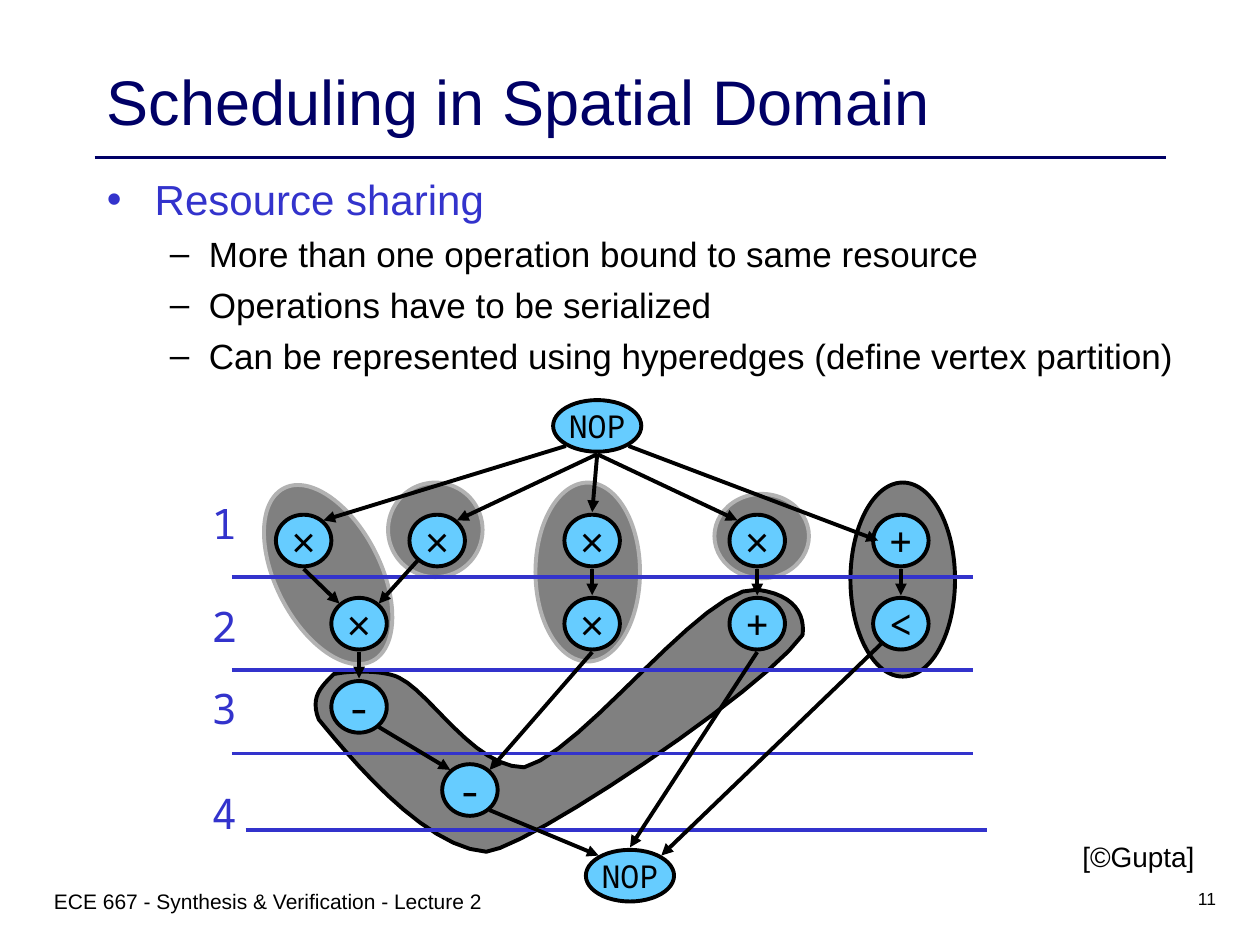
from dataclasses import dataclass

from lxml.etree import SubElement
from pptx import Presentation
from pptx.dml.color import RGBColor as RGB
from pptx.enum.shapes import MSO_CONNECTOR as Connector, MSO_SHAPE as Preset
from pptx.enum.text import MSO_ANCHOR as Anchor, MSO_AUTO_SIZE as AutoSize, PP_ALIGN as Align
from pptx.oxml.ns import qn
from pptx.util import Inches, Pt


@dataclass(frozen=True)
class Theme:
    navy: RGB = RGB(0x00, 0x00, 0x66)
    blue: RGB = RGB(0x33, 0x33, 0xCC)
    sky: RGB = RGB(0x66, 0xCC, 0xFF)
    gray: RGB = RGB(0x80, 0x80, 0x80)
    silver: RGB = RGB(0xB2, 0xB2, 0xB2)
    black: RGB = RGB(0x00, 0x00, 0x00)
    sans: str = "Arial"
    mono: str = "Noto Sans Mono"
    title: float = 36
    heading: float = 24
    item: float = 20
    nop: float = 18
    credit: float = 16
    footer: float = 12
    number: float = 10
    stroke: float = 2.25


THEME = Theme()

# Operation nodes: name -> (centre x, centre y, label)
ROW_1, ROW_2, ROW_3, ROW_4 = 4.29, 4.95, 5.61, 6.27
NODES = {
    "source": (4.74, 3.38, "NOP"),
    "mul1": (2.41, ROW_1, "×"),
    "mul2": (3.47, ROW_1, "×"),
    "mul3": (4.7, ROW_1, "×"),
    "mul4": (6.01, ROW_1, "×"),
    "add1": (7.15, ROW_1, "+"),
    "mul5": (2.85, ROW_2, "×"),
    "mul6": (4.7, ROW_2, "×"),
    "add2": (6.01, ROW_2, "+"),
    "less": (7.15, ROW_2, "<"),
    "sub1": (2.85, ROW_3, "-"),
    "sub2": (3.73, ROW_4, "-"),
    "sink": (5.0, 6.95, "NOP"),
}

# Directions from a node's centre to the points where edges attach
DIAGONAL = 0.71
SITES = {
    "top": (0, -1), "bottom": (0, 1), "left": (-0.82, 0),
    "top left": (-DIAGONAL, -DIAGONAL), "top right": (DIAGONAL, -DIAGONAL),
    "bottom left": (-DIAGONAL, DIAGONAL), "bottom right": (DIAGONAL, DIAGONAL),
}
EDGES = [
    ("source", "bottom left", "mul1", "top right"),
    ("source", "bottom", "mul2", "top right"),
    ("source", "bottom", "mul3", "top"),
    ("source", "bottom", "mul4", "top left"),
    ("source", "bottom right", "add1", "left"),
    ("add1", "bottom", "less", "top"),
    ("mul4", "bottom", "add2", "top"),
    ("mul3", "bottom", "mul6", "top"),
    ("mul2", "bottom left", "mul5", "top right"),
    ("mul1", "bottom", "mul5", "top left"),
    ("mul5", "bottom", "sub1", "top"),
    ("mul6", "bottom", "sub2", "top right"),
    ("sub1", "bottom right", "sub2", "top left"),
    ("add2", "bottom", "sink", "top"),
    ("less", "bottom left", "sink", "top right"),
    ("sub2", "bottom right", "sink", "top left"),
]

# Hyperedges: left, top, width, height, rotation, outline
HYPEREDGES = [
    (5.67, 3.92, 0.75, 0.67, 0, THEME.silver),
    (3.08, 3.83, 0.75, 0.75, 0, THEME.silver),
    (2.19, 3.79, 0.83, 1.54, 332.9, THEME.silver),
    (4.25, 3.83, 0.83, 1.42, 0, THEME.silver),
    (6.75, 3.83, 0.83, 1.54, 0, THEME.black),
]
# Bent hyperedge: start point, then control, control, end of each curve
BEND_START = (6.01, 4.68)
BEND_CURVES = [
    ((6.32, 4.72), (6.39, 4.89), (6.37, 5.04)),
    ((6.06, 5.48), (4.17, 6.74), (3.86, 6.76)),
    ((3.35, 6.73), (2.73, 5.95), (2.53, 5.71)),
    ((2.46, 5.53), (2.55, 5.45), (2.65, 5.35)),
    ((2.79, 5.32), (3.06, 5.32), (3.17, 5.38)),
    ((3.42, 5.5), (3.76, 6.09), (4.16, 6.09)),
    ((4.63, 5.97), (5.6, 4.63), (6.01, 4.68)),
]

# Time steps: label top, line left, line y
STEPS = [(3.95, 1.84, 4.58), (4.77, 1.84, 5.32), (5.42, 1.84, 5.98), (6.25, 1.95, 6.59)]
STEP_WIDTH = 5.88

ITEMS = [
    "More than one operation bound to same resource",
    "Operations have to be serialized",
    "Can be represented using hyperedges (define vertex partition)",
]


def set_values(target, values):
    for name, value in values.items():
        setattr(target, name, value)


def write(para, text, size, color, font=THEME.sans):
    span = para.add_run()
    span.text = text
    set_values(span.font, {"size": Pt(size), "name": font})
    span.font.color.rgb = color


def add_text(page, area, text, size, color, font=THEME.sans, align=Align.LEFT, **frame):
    box = page.shapes.add_textbox(*map(Inches, area))
    set_values(box.text_frame, {"word_wrap": True, "auto_size": AutoSize.NONE, **frame})
    para = box.text_frame.paragraphs[0]
    para.alignment = align
    write(para, text, size, color, font)
    return box


def add_bullet(para, mark, color, left, hanging):
    props = para._p.get_or_add_pPr()
    props.set("marL", str(Inches(left)))
    props.set("indent", str(-Inches(hanging)))
    SubElement(SubElement(props, qn("a:buClr")), qn("a:srgbClr")).set("val", str(color))
    SubElement(props, qn("a:buFont")).set("typeface", THEME.sans)
    SubElement(props, qn("a:buChar")).set("char", mark)


def style(shape, fill, outline):
    shape.shadow.inherit = False
    shape.fill.solid()
    shape.fill.fore_color.rgb = fill
    shape.line.color.rgb = outline
    shape.line.width = Pt(THEME.stroke)


def add_ellipse(page, area, fill, outline, rotation=0):
    oval = page.shapes.add_shape(Preset.OVAL, *map(Inches, area))
    oval.rotation = rotation
    style(oval, fill, outline)
    return oval


def add_line(page, start, end, color, arrow=False):
    line = page.shapes.add_connector(Connector.STRAIGHT, *map(Inches, (*start, *end)))
    line.line.color.rgb = color
    line.line.width = Pt(THEME.stroke)
    if arrow:
        SubElement(line.line._get_or_add_ln(), qn("a:tailEnd")).set("type", "triangle")
    SubElement(line._element.spPr, qn("a:effectLst"))


def add_bend(page, steps=12):
    points, start = [], BEND_START
    for first, second, end in BEND_CURVES:
        for t in (step / steps for step in range(1, steps + 1)):
            weights = ((1 - t) ** 3, 3 * t * (1 - t) ** 2, 3 * t * t * (1 - t), t ** 3)
            curve = (start, first, second, end)
            points.append(tuple(Inches(sum(w * point[axis] for w, point in zip(weights, curve)))
                                for axis in (0, 1)))
        start = end
    builder = page.shapes.build_freeform(*map(Inches, BEND_START))
    builder.add_line_segments(points, close=True)
    style(builder.convert_to_shape(), THEME.gray, THEME.black)


def node_size(label):
    return (0.7 if label == "NOP" else 0.44), 0.41


def add_node(page, x, y, label):
    width, height = node_size(label)
    oval = add_ellipse(page, (x - width / 2, y - height / 2, width, height), THEME.sky, THEME.black)
    set_values(oval.text_frame, {"word_wrap": False, "vertical_anchor": Anchor.MIDDLE})
    para = oval.text_frame.paragraphs[0]
    para.alignment = Align.CENTER
    size = THEME.nop if label == "NOP" else THEME.heading
    write(para, label, size, THEME.black, THEME.sans if label == "×" else THEME.mono)


def site_point(name, site, gap=0.02):
    x, y, label = NODES[name]
    width, height = node_size(label)
    across, down = SITES[site]
    return x + across * width / 2, y + down * (height / 2 + gap)


def add_body(page):
    box = add_text(page, (0.75, 1.33, 8.73, 2.1), "Resource sharing", THEME.heading, THEME.blue)
    add_bullet(box.text_frame.paragraphs[0], "•", THEME.blue, 0.38, 0.38)
    for item in ITEMS:
        para = box.text_frame.add_paragraph()
        set_values(para, {"level": 1, "space_before": Pt(5)})
        add_bullet(para, "–", THEME.black, 0.81, 0.31)
        write(para, item, THEME.item, THEME.black)


def add_graph(page):
    # Shared resources behind the operations
    add_bend(page)
    for *area, rotation, outline in HYPEREDGES:
        add_ellipse(page, area, THEME.gray, outline, rotation)
    for node in NODES.values():
        add_node(page, *node)
    # Time steps
    flush = dict.fromkeys(("margin_left", "margin_top", "margin_right", "margin_bottom"), 0)
    for number, (top, left, y) in enumerate(STEPS, 1):
        add_line(page, (left, y), (left + STEP_WIDTH, y), THEME.blue)
        add_text(page, (1.68, top, 0.19, 0.4), str(number), THEME.heading, THEME.blue,
                 THEME.mono, **{**flush, "word_wrap": False})
    # Dependencies
    for source, leave, target, enter in EDGES:
        add_line(page, site_point(source, leave), site_point(target, enter), THEME.black, arrow=True)
    add_text(page, (8.59, 6.66, 0.89, 0.27), "[©Gupta]", THEME.credit, THEME.black,
             align=Align.RIGHT, **{**flush, "word_wrap": False})


def main():
    deck = Presentation()
    set_values(deck, {"slide_width": Inches(10), "slide_height": Inches(7.5)})
    page = deck.slides.add_slide(deck.slide_layouts[6])
    # Heading and bullets
    add_line(page, (0.75, 1.25), (9.25, 1.25), THEME.navy)
    add_text(page, (0.75, 0.17, 8.5, 1.25), "Scheduling in Spatial Domain", THEME.title,
             THEME.navy, vertical_anchor=Anchor.MIDDLE)
    add_body(page)
    add_graph(page)
    # Footer
    add_text(page, (0.33, 7, 4.5, 0.5), "ECE 667 - Synthesis & Verification - Lecture 2",
             THEME.footer, THEME.black)
    add_text(page, (7.67, 7, 2.08, 0.5), "11", THEME.number, THEME.black, align=Align.RIGHT)
    deck.save("out.pptx")


if __name__ == "__main__":
    main()
